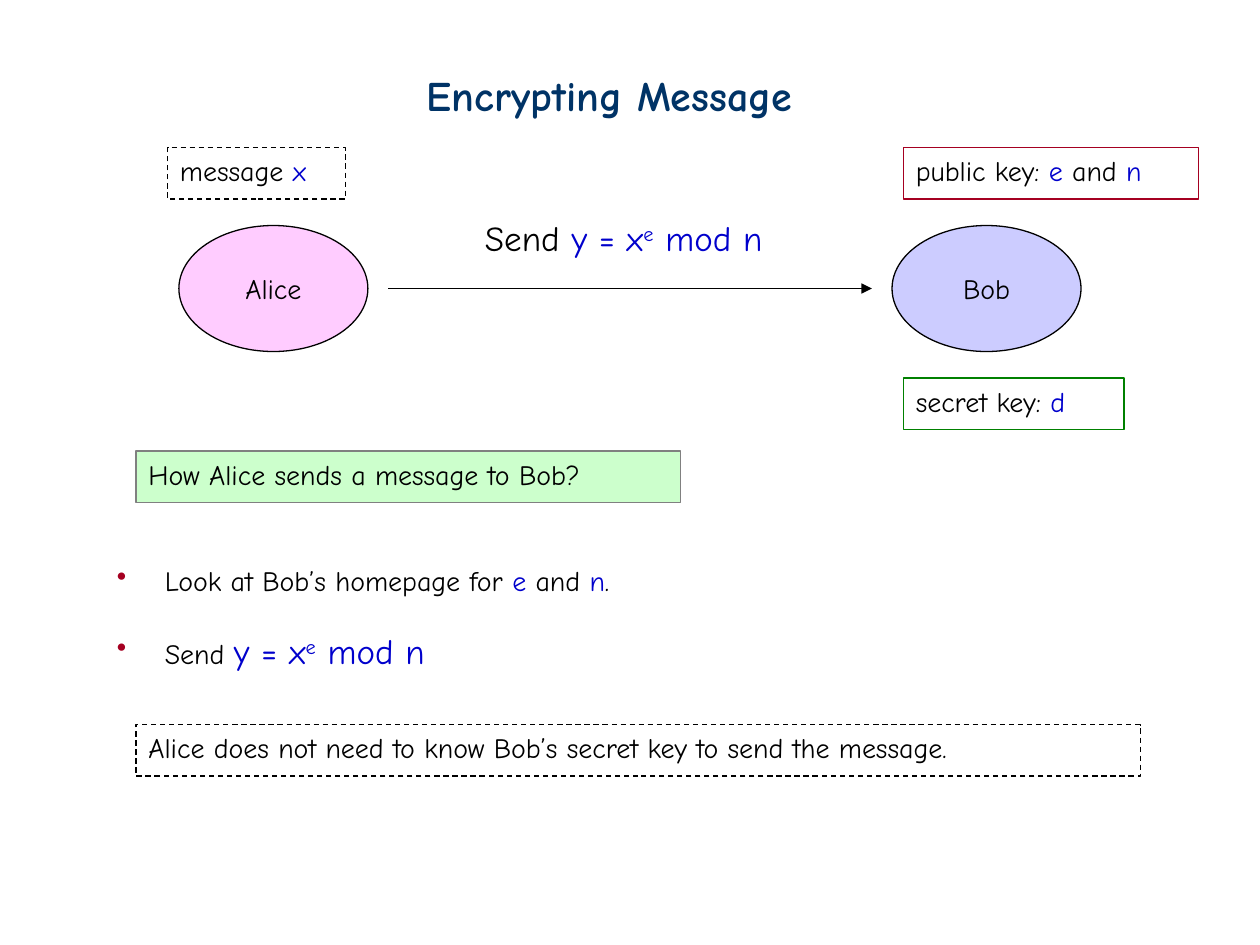
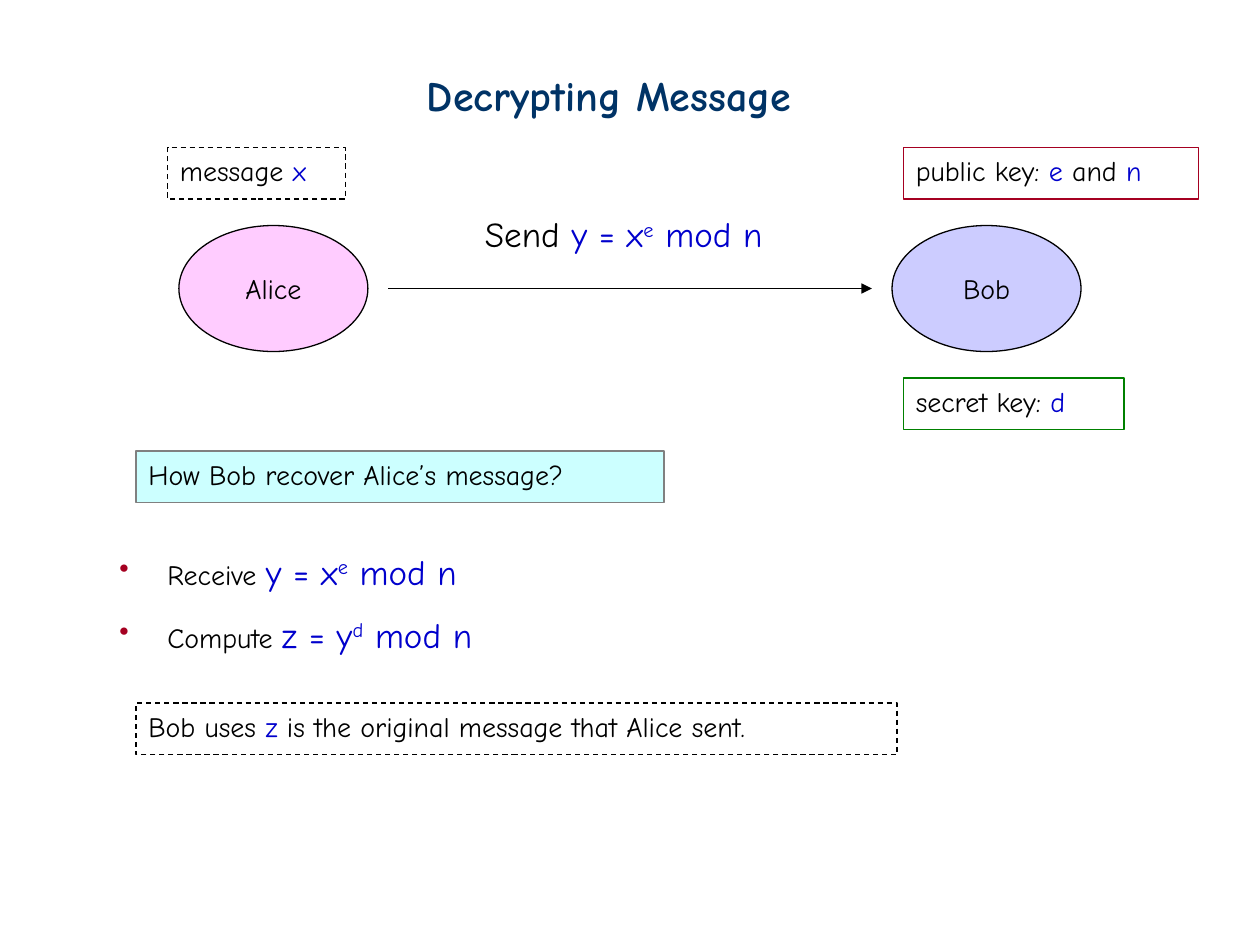
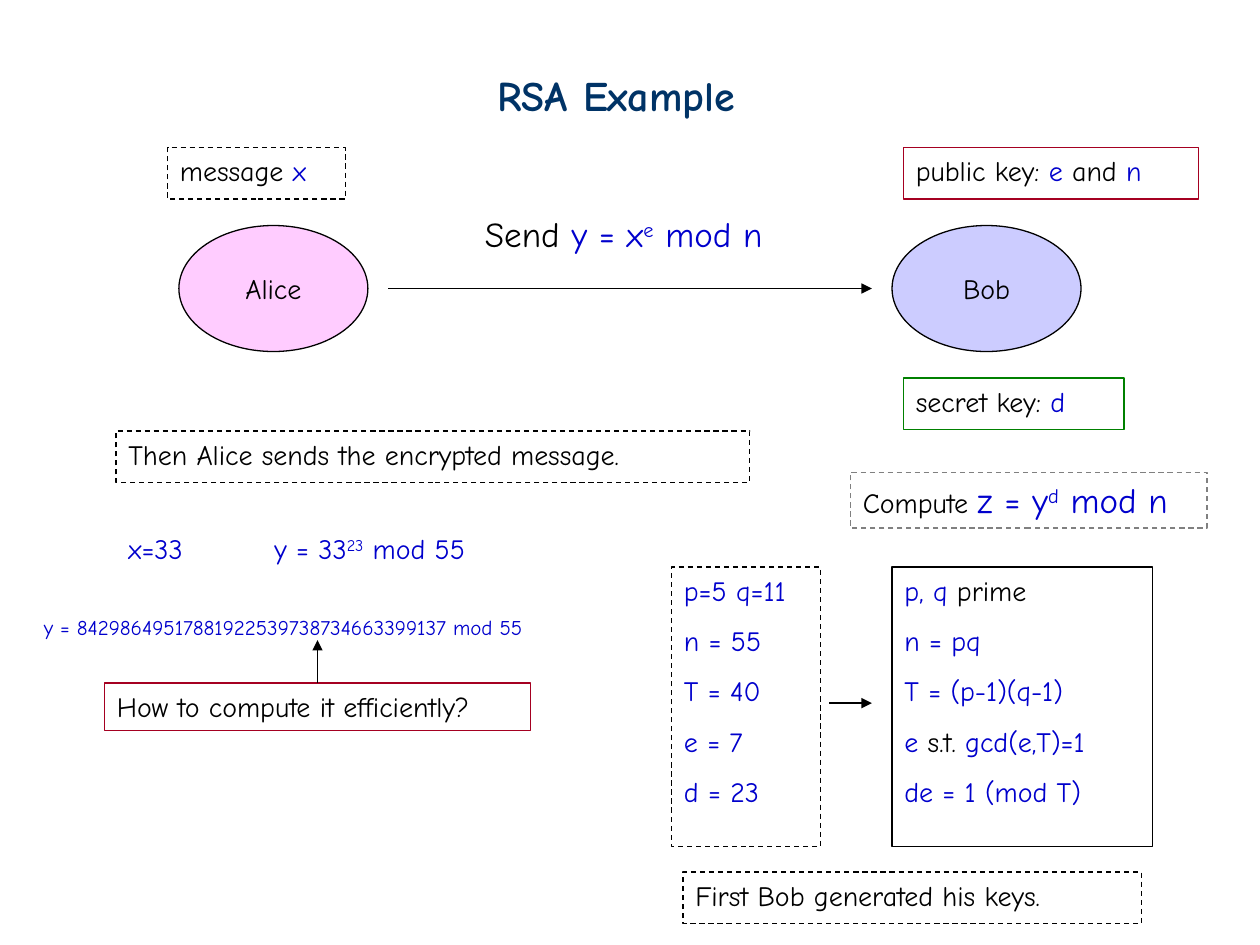
from lxml import etree
from pptx import Presentation
from pptx.dml.color import RGBColor
from pptx.enum.dml import MSO_LINE
from pptx.enum.shapes import MSO_CONNECTOR, MSO_SHAPE
from pptx.enum.text import MSO_ANCHOR, PP_ALIGN
from pptx.oxml.ns import qn
from pptx.util import Inches, Pt

RECTANGLE, OVAL = MSO_SHAPE.RECTANGLE, MSO_SHAPE.OVAL
STRAIGHT = MSO_CONNECTOR.STRAIGHT
DASH = MSO_LINE.DASH
TOP, MIDDLE = MSO_ANCHOR.TOP, MSO_ANCHOR.MIDDLE
LEFT, CENTER = PP_ALIGN.LEFT, PP_ALIGN.CENTER

FONT = "Comic Neue"
BLACK, BLUE, NAVY = "000000", "0000CC", "003366"
RED, GREEN, GRAY = "A50021", "008000", "808080"
PINK, LAVENDER, MINT, CYAN = "FFCCFF", "CCCCFF", "CCFFCC", "CCFFFF"
BODY, FORMULA, TITLE, SMALL = 16, 20, 24, 12
LINE_WIDTH = 0.75
BULLET_INDENT = 0.38
BOX_HEIGHT = 0.41


def color(hex_value):
    """Turn a hex string into a colour."""
    return RGBColor.from_string(hex_value)


def plain(text, size=BODY):
    """Describe a black run."""
    return text, BLACK, size, False


def math(text, size=BODY):
    """Describe a blue run."""
    return text, BLUE, size, False


def power(base, exponent, rest, size=FORMULA):
    """Describe the runs of a formula with an exponent."""
    return [math(base, size), (exponent, BLUE, size, True), math(rest, size)]


def encryption():
    """Describe the encryption formula."""
    return power("y = x", "e", " mod n")


def decryption():
    """Describe the decryption formula."""
    return power("z = y", "d", " mod n")


def add_run(paragraph, text, hex_value, size, raised, bold=False):
    """Add one styled run."""
    run = paragraph.add_run()
    run.text = text
    run.font.name = FONT
    run.font.size = Pt(size)
    run.font.bold = bold
    run.font.color.rgb = color(hex_value)
    if raised:
        run.font._element.set("baseline", "30000")


def fill_text(shape, paragraphs, align=LEFT, anchor=TOP, spacing=1, bold=False):
    """Write paragraphs, with the line spacing applied after the first."""
    frame = shape.text_frame
    frame.word_wrap = True
    frame.vertical_anchor = anchor
    for index, runs in enumerate(paragraphs):
        paragraph = frame.paragraphs[0] if index == 0 else frame.add_paragraph()
        paragraph.alignment = align
        if index:
            paragraph.line_spacing = float(spacing)
        for run in runs:
            add_run(paragraph, *run, bold=bold)


def add_text(slide, left, top, width, height, paragraphs, **style):
    """Add a text box."""
    text_box = slide.shapes.add_textbox(
        Inches(left), Inches(top), Inches(width), Inches(height))
    fill_text(text_box, paragraphs, **style)
    return text_box


def add_title(slide, left, text):
    """Add the slide title."""
    add_text(slide, left, 0.5, 3.42, 0.5, [[(text, NAVY, TITLE, False)]], bold=True)


def add_panel(slide, left, top, width, height, paragraphs, line=BLACK, fill=None,
              dashed=False, kind=RECTANGLE, **style):
    """Add an outlined shape with text."""
    panel = slide.shapes.add_shape(
        kind, Inches(left), Inches(top), Inches(width), Inches(height))
    panel.shadow.inherit = False
    if fill:
        panel.fill.solid()
        panel.fill.fore_color.rgb = color(fill)
    else:
        panel.fill.background()
    panel.line.color.rgb = color(line)
    panel.line.width = Pt(LINE_WIDTH)
    if dashed:
        panel.line.dash_style = DASH
    fill_text(panel, paragraphs, **style)
    return panel


def add_label(slide, left, top, width, runs, **style):
    """Add a one-line panel of the common height."""
    return add_panel(slide, left, top, width, BOX_HEIGHT, [runs], **style)


def add_person(slide, left, name, fill):
    """Add a named ellipse."""
    add_panel(slide, left, 1.79, 1.5, 1, [[plain(name)]], fill=fill, kind=OVAL,
              align=CENTER, anchor=MIDDLE)


def add_arrow(slide, start, end):
    """Add a straight arrow between two points."""
    arrow = slide.shapes.add_connector(
        STRAIGHT, *(Inches(length) for length in (*start, *end)))
    arrow.line.color.rgb = color(BLACK)
    arrow.line.width = Pt(LINE_WIDTH)
    etree.SubElement(arrow.line._get_or_add_ln(), qn("a:tailEnd"), type="triangle")
    etree.SubElement(arrow._element.spPr, qn("a:effectLst"))
    return arrow


def add_bullets(slide, left, top, width, height, items, gap=0, spacing=1):
    """Add a bulleted list with a gap in points between items."""
    text_box = add_text(slide, left, top, width, height, items, spacing=spacing)
    for index, paragraph in enumerate(text_box.text_frame.paragraphs):
        if index:
            paragraph.space_before = Pt(gap)
        properties = paragraph._p.get_or_add_pPr()
        properties.set("marL", str(Inches(BULLET_INDENT)))
        properties.set("indent", str(-Inches(BULLET_INDENT)))
        bullet_color = etree.SubElement(properties, qn("a:buClr"))
        etree.SubElement(bullet_color, qn("a:srgbClr"), val=RED)
        etree.SubElement(properties, qn("a:buChar"), char="•")


def add_exchange(slide, send_top=1.64):
    """Add Alice, Bob, their keys and the message sent between them."""
    add_person(slide, 1.42, "Alice", PINK)
    add_person(slide, 7.08, "Bob", LAVENDER)
    add_arrow(slide, (3.08, 2.29), (6.92, 2.29))
    add_label(slide, 1.33, 1.17, 1.41, [plain("message "), math("x")], dashed=True)
    add_label(slide, 7.17, 1.17, 2.34,
              [plain("public key: "), math("e"), plain(" and "), math("n")], line=RED)
    add_label(slide, 7.17, 3, 1.75, [plain("secret key: "), math("d")], line=GREEN)
    add_text(slide, 3.75, send_top, 2.49, 0.43, [[plain("Send ", FORMULA), *encryption()]])


def build_encrypting(slide):
    """Build the slide on encrypting."""
    add_title(slide, 3.29, "Encrypting Message")
    add_exchange(slide, send_top=1.67)
    add_label(slide, 1.08, 3.58, 4.32, [plain("How Alice sends a message to Bob?")],
              line=GRAY, fill=MINT)
    add_bullets(slide, 0.83, 4.42, 4.61, 1.03, [
        [plain("Look at Bob’s homepage for "), math("e"), plain(" and "), math("n"),
         plain(".")],
        [plain("Send "), *encryption()],
    ], gap=19)
    add_label(slide, 1.08, 5.75, 7.97,
              [plain("Alice does not need to know Bob’s secret key to send the message.")],
              dashed=True)


def build_decrypting(slide):
    """Build the slide on decrypting."""
    add_title(slide, 3.29, "Decrypting Message")
    add_exchange(slide)
    add_label(slide, 1.08, 3.58, 4.19, [plain("How Bob recover Alice’s message?")],
              line=GRAY, fill=CYAN)
    add_bullets(slide, 0.85, 4.32, 3.06, 0.93, [
        [plain("Receive "), *encryption()],
        [plain("Compute "), *decryption()],
    ], spacing=1.5)
    add_label(slide, 1.08, 5.58, 6.04,
              [plain("Bob uses "), math("z"),
               plain(" is the original message that Alice sent.")], dashed=True)


def build_example(slide):
    """Build the slide with the worked example."""
    add_title(slide, 3.85, "RSA Example")
    add_exchange(slide)

    add_label(slide, 0.92, 3.42, 5.03, [plain("Then Alice sends the encrypted message.")],
              dashed=True)
    add_text(slide, 0.92, 4.17, 0.78, 0.4, [[math("x=33")]])
    add_text(slide, 2.08, 4.17, 2.05, 0.4, [power("y = 33", "23", " mod 55", BODY)])
    add_text(slide, 0.25, 4.83, 4.6, 0.3,
             [[math("y = 84298649517881922539738734663399137 mod 55", SMALL)]])
    question = add_panel(slide, 0.83, 5.42, 3.38, 0.38,
                         [[plain("How to compute it efficiently?")]], line=RED)
    question_arrow = add_arrow(slide, (2.52, 5.42), (2.52, 5.08))
    question_arrow.begin_connect(question, 0)

    add_panel(slide, 6.75, 3.75, 2.83, 0.44, [[plain("Compute "), *decryption()]],
              line=GRAY, dashed=True)
    key_values = ["p=5 q=11", "n = 55", "T = 40", "e = 7", "d = 23"]
    add_panel(slide, 5.33, 4.5, 1.18, 2.22, [[math(value)] for value in key_values],
              dashed=True, spacing=1.5)
    add_arrow(slide, (6.58, 5.58), (6.92, 5.58))
    add_panel(slide, 7.08, 4.5, 2.07, 2.22, [
        [math("p, q"), plain(" prime")],
        [math("n = pq")],
        [math("T = (p-1)(q-1)")],
        [math("e"), plain(" s.t. "), math("gcd(e,T)=1")],
        [math("de = 1 (mod T)")],
    ], spacing=1.5)
    add_label(slide, 5.42, 6.92, 3.64, [plain("First Bob generated his keys.")], dashed=True)


def main():
    """Build and save the presentation."""
    presentation = Presentation()
    presentation.slide_width = Inches(10)
    presentation.slide_height = Inches(7.5)
    for build in (build_encrypting, build_decrypting, build_example):
        build(presentation.slides.add_slide(presentation.slide_layouts[6]))
    presentation.save("out.pptx")


if __name__ == "__main__":
    main()
